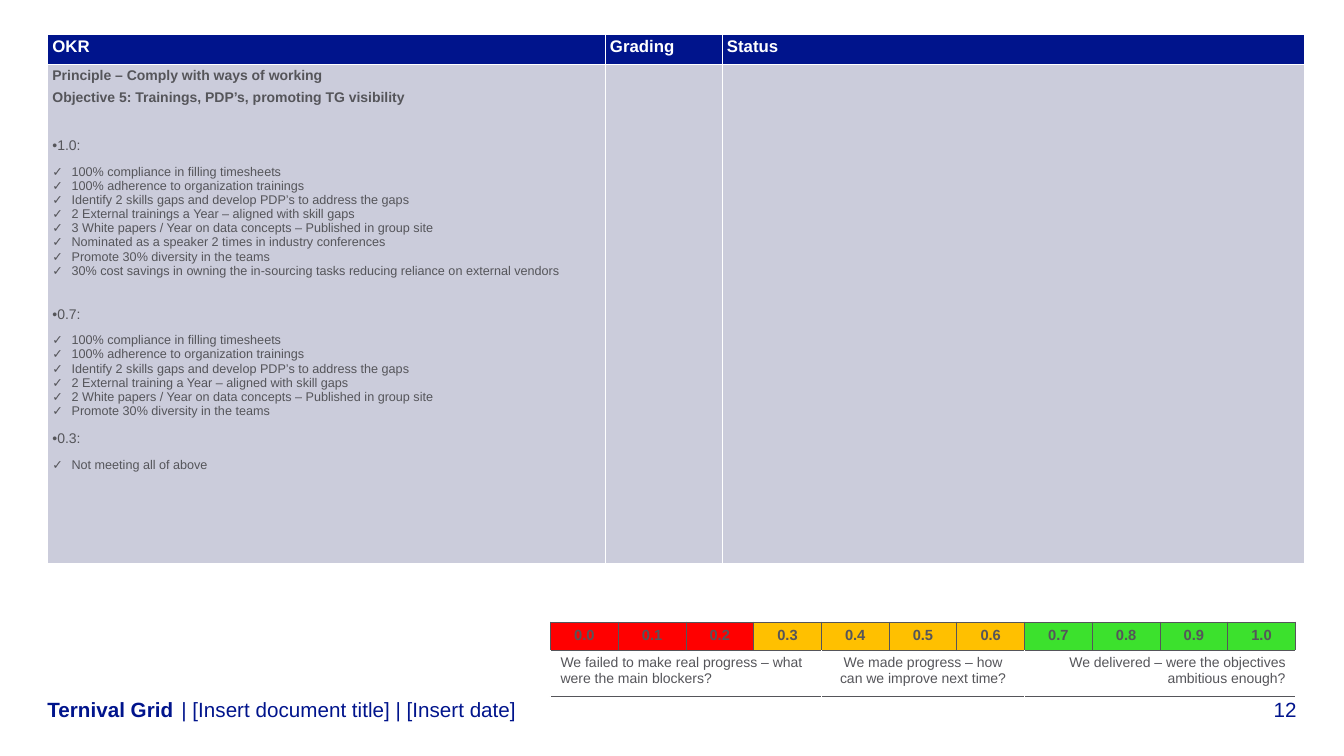
from lxml import etree
from pptx import Presentation
from pptx.dml.color import RGBColor
from pptx.enum import text
from pptx.oxml import ns
from pptx.util import Inches, Pt

NAVY = RGBColor(0x00, 0x14, 0x8C)
GREY = RGBColor(0x55, 0x55, 0x5A)
PALE = RGBColor(0xCB, 0xCC, 0xDB)
WHITE = RGBColor(0xFF, 0xFF, 0xFF)
RED = RGBColor(0xFF, 0x00, 0x00)
AMBER = RGBColor(0xFF, 0xC0, 0x00)
GREEN = RGBColor(0x3C, 0xE1, 0x2D)
LEFT, MID, RIGHT = (text.PP_ALIGN.LEFT, text.PP_ALIGN.CENTER,
                    text.PP_ALIGN.RIGHT)

HEADS = ["OKR", "Grading", "Status"]
GOALS = ["Principle – Comply with ways of working",
         "Objective 5: Trainings, PDP’s, promoting TG visibility"]
SHARED = ["100% compliance in filling timesheets",
          "100% adherence to organization trainings",
          "Identify 2 skills gaps and develop PDP’s to address the gaps"]
# grade, space before it in points, its conditions
GRADES = [
    ("1.0:", 19, SHARED + [
        "2 External trainings a Year – aligned with skill gaps",
        "3 White papers / Year on data concepts – Published in group site",
        "Nominated as a speaker 2 times in industry conferences",
        "Promote 30% diversity in the teams",
        "30% cost savings in owning the in-sourcing tasks reducing "
        "reliance on external vendors"]),
    ("0.7:", 20.5, SHARED + [
        "2 External training a Year – aligned with skill gaps",
        "2 White papers / Year on data concepts – Published in group site",
        "Promote 30% diversity in the teams"]),
    ("0.3:", 9, ["Not meeting all of above"]),
]
SCORES = [RED] * 3 + [AMBER] * 4 + [GREEN] * 4
# first column, last column, alignment, words
BANDS = [
    (0, 3, LEFT,
     "We failed to make real progress – what were the main blockers?"),
    (4, 6, MID, "We made progress – how can we improve next time?"),
    (7, 10, RIGHT, "We delivered – were the objectives ambitious enough?"),
]


def add_run(para, words, size, color, bold=False):
    run = para.add_run()
    run.text = words
    run.font.name = "Arial"
    run.font.size = Pt(size)
    run.font.bold = bold
    run.font.color.rgb = color


def add_para(frame, words, size, bold=False, mark=None, hang=0,
             before=0, after=0):
    """Fill the empty first paragraph, or add one after it."""
    para = frame.paragraphs[0]
    if para.runs:
        para = frame.add_paragraph()
    if mark:
        props = para._p.get_or_add_pPr()
        props.set("marL", str(Inches(hang)))
        props.set("indent", str(-Inches(hang)))
        etree.SubElement(props, ns.qn("a:buFont"), typeface="Arial")
        etree.SubElement(props, ns.qn("a:buChar"), char=mark)
    para.space_before = Pt(before)
    para.space_after = Pt(after)
    add_run(para, words, size, GREY, bold)


def set_edges(cell, **edges):
    """Draw cell borders; each edge is a colour and a width in points."""
    props = cell._tc.get_or_add_tcPr()
    for spot, side in enumerate("LRTB"):
        color, width = edges[side]
        line = etree.Element(ns.qn("a:ln" + side), w=str(Pt(width)))
        fill = etree.SubElement(line, ns.qn("a:solidFill"))
        etree.SubElement(fill, ns.qn("a:srgbClr"), val=str(color))
        props.insert(spot, line)


def add_grid(slide, left, top, cols, rows):
    frame = slide.shapes.add_table(
        len(rows), len(cols), Inches(left), Inches(top),
        Inches(sum(cols)), Inches(sum(rows)))
    table = frame.table
    table.first_row = table.horz_banding = False
    for col, width in zip(table.columns, cols):
        col.width = Inches(width)
    for row, height in zip(table.rows, rows):
        row.height = Inches(height)
    return table


def set_fill(cell, color):
    cell.fill.solid()
    cell.fill.fore_color.rgb = color


def add_okr(slide):
    table = add_grid(slide, 0.47, 0.34, [5.53, 1.16, 5.78], [0.3, 4.95])
    thin, thick = (WHITE, 0.5), (WHITE, 1.2)
    for col, head in enumerate(HEADS):
        top, body = table.cell(0, col), table.cell(1, col)
        for cell, color in ((top, NAVY), (body, PALE)):
            set_fill(cell, color)
            cell.margin_left = cell.margin_right = Inches(0.05)
            cell.margin_top = cell.margin_bottom = Inches(0.03)
        set_edges(top, L=thin, R=thin, T=thin, B=thick)
        set_edges(body, L=thin, R=thin, T=thick, B=thin)
        add_run(top.text_frame.paragraphs[0], head, 12, WHITE, True)

    frame = table.cell(1, 0).text_frame
    for goal in GOALS:
        add_para(frame, goal, 10, bold=True, after=4.5)
    for grade, gap, items in GRADES:
        add_para(frame, grade, 10, mark="•", before=gap, after=8)
        for item in items:
            add_para(frame, item, 9, mark="✓", hang=0.19)


def add_scale(slide):
    count = len(SCORES)
    table = add_grid(slide, 5.46, 6.17, [7.39 / count] * count, [0.28, 0.46])
    thin, blank, base = (GREY, 0.5), (WHITE, 1), (GREY, 1)
    for col, color in enumerate(SCORES):
        score, note = table.cell(0, col), table.cell(1, col)
        set_fill(score, color)
        note.fill.background()
        set_edges(score, L=thin, R=thin, T=thin, B=thin)
        set_edges(note, L=blank, R=blank, T=thin, B=base)
        para = score.text_frame.paragraphs[0]
        para.alignment = MID
        add_run(para, f"{col / 10:.1f}", 10.5, GREY, True)
    for first, last, align, words in BANDS:
        cell = table.cell(1, first)
        cell.merge(table.cell(1, last))
        para = cell.text_frame.paragraphs[0]
        para.alignment = align
        add_run(para, words, 10, GREY)


def add_foot(slide, left, width, words, bold=False, align=LEFT):
    box = slide.shapes.add_textbox(
        Inches(left), Inches(6.91), Inches(width), Inches(0.25))
    frame = box.text_frame
    frame.word_wrap = True
    frame.vertical_anchor = text.MSO_ANCHOR.BOTTOM
    frame.margin_left = frame.margin_right = 0
    frame.margin_top = frame.margin_bottom = 0
    para = frame.paragraphs[0]
    para.alignment = align
    add_run(para, words, 14.7, NAVY, bold)


def main():
    deck = Presentation()
    deck.slide_width = Inches(13.33)
    deck.slide_height = Inches(7.5)
    slide = deck.slides.add_slide(deck.slide_layouts[6])
    add_foot(slide, 12.08, 0.78, "12", align=RIGHT)
    add_foot(slide, 0.47, 1.33, "Ternival Grid", bold=True)
    add_foot(slide, 1.8, 10.2, "| [Insert document title] | [Insert date]")
    add_okr(slide)
    add_scale(slide)
    deck.save("out.pptx")


if __name__ == "__main__":
    main()
